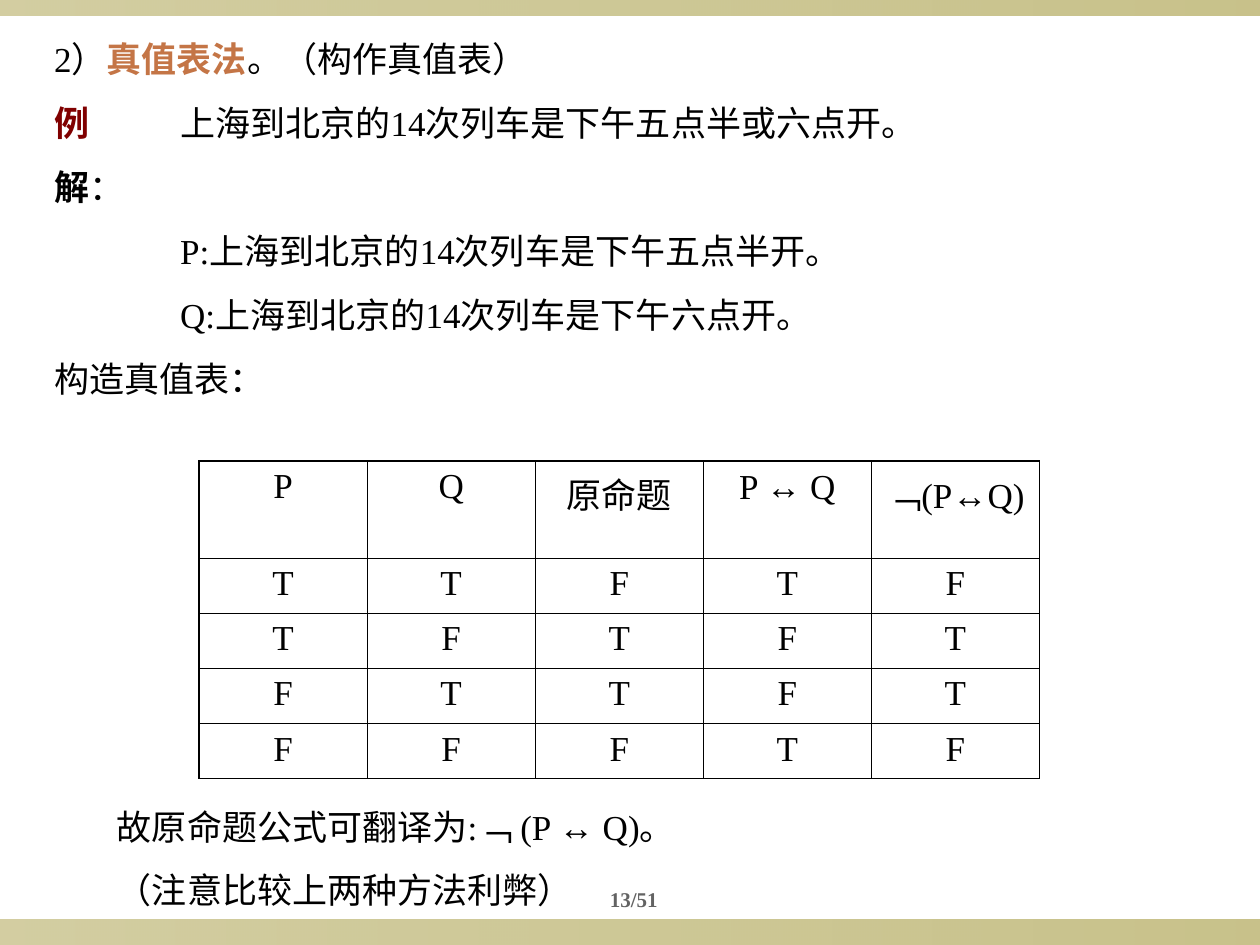
import dataclasses

import pptx
import pptx.dml.color
import pptx.enum.shapes
import pptx.enum.text
import pptx.oxml.ns
import pptx.util
from lxml import etree

Inches = pptx.util.Inches
Pt = pptx.util.Pt
Align = pptx.enum.text.PP_ALIGN
Fit = pptx.enum.text.MSO_AUTO_SIZE
qn = pptx.oxml.ns.qn


@dataclasses.dataclass(frozen=True)
class Theme:
    ink: str = "000000"
    key: str = "C47546"
    label: str = "800000"
    page: str = "636363"
    band: str = "918415"
    face: str = "Times New Roman"
    sign: str = "Arial"
    size: float = 20
    small: float = 12
    gap: float = 12.5
    thin: float = 0.45
    thick: float = 1.08


THEME = Theme()

# A line is a list of runs; a run is its text and what differs from plain.
KEY = {"color": THEME.key, "bold": True}
LABEL = {"color": THEME.label, "bold": True}
BOLD = {"bold": True}
ARROW = ("↔", {"name": THEME.sign})

PROOF = [
    [("2）", {}), ("真值表法", KEY), ("。（构作真值表）", {})],
    [("例\t", LABEL), ("上海到北京的14次列车是下午五点半或六点开。", {})],
    [("解", BOLD), ("：", {})],
    [("\tP:上海到北京的14次列车是下午五点半开。", {})],
    [("\tQ:上海到北京的14次列车是下午六点开。", {})],
    [("构造真值表：", {})],
]
RESULT = [
    [("故原命题公式可翻译为:﹁ (P ", {}), ARROW, (" Q)。", {})],
    [("（注意比较上两种方法利弊）", {})],
]
HEAD = [
    [("P", {})],
    [("Q", {})],
    [("原命题", {})],
    [("P ", {}), ARROW, (" Q", {})],
    [("﹁(P", {}), ARROW, ("Q)", {})],
]
TRUTH = ["TTFTF", "TFTFT", "FTTFT", "FFFTF"]


def rgb(code):
    return pptx.dml.color.RGBColor.from_string(code)


def put_runs(para, runs):
    for text, extra in runs:
        run = para.add_run()
        run.text = text
        look = {"name": THEME.face, "size": Pt(THEME.size), "bold": False,
                "color": THEME.ink, **extra}
        run.font.color.rgb = rgb(look.pop("color"))
        for key, value in look.items():
            setattr(run.font, key, value)


def set_plain(para):
    """Drop the bullet and indent, and put a tab stop at every inch."""
    props = para._p.get_or_add_pPr()
    for key, value in {"marL": 0, "indent": 0, "defTabSz": Inches(1)}.items():
        props.set(key, str(int(value)))
    etree.SubElement(props, qn("a:buNone"))
    tabs = etree.SubElement(props, qn("a:tabLst"))
    for inch in range(8):
        etree.SubElement(tabs, qn("a:tab"), pos=str(int(Inches(inch))),
                         algn="l")


def put_lines(shape, lines):
    frame = shape.text_frame
    frame.word_wrap = True
    frame.auto_size = Fit.SHAPE_TO_FIT_TEXT
    for i, runs in enumerate(lines):
        para = frame.add_paragraph() if i else frame.paragraphs[0]
        set_plain(para)
        para.space_before = Pt(THEME.gap if i else 0)
        put_runs(para, runs)


def add_band(slide, box):
    band = slide.shapes.add_shape(
        pptx.enum.shapes.MSO_SHAPE.RECTANGLE, *map(Inches, box))
    band.shadow.inherit = False
    band.line.fill.background()
    band.fill.gradient()
    band.fill.gradient_angle = 0
    for stop, place, alpha in zip(band.fill.gradient_stops, (0, 1), (40, 50)):
        stop.position = place
        stop.color.rgb = rgb(THEME.band)
        color = stop._gs.find(qn("a:srgbClr"))
        etree.SubElement(color, qn("a:alpha"), val=str(alpha * 1000))


def add_page(slide, box):
    shape = slide.shapes.add_textbox(*map(Inches, box))
    frame = shape.text_frame
    look = {"word_wrap": True,
            "vertical_anchor": pptx.enum.text.MSO_ANCHOR.MIDDLE,
            "margin_left": Inches(0.05), "margin_right": Inches(0.05)}
    for key, value in look.items():
        setattr(frame, key, value)
    para = frame.paragraphs[0]
    para.alignment = Align.CENTER
    put_runs(para, [("13/51", {"size": Pt(THEME.small), "bold": True,
                               "color": THEME.page})])


def add_proof(slide, box):
    body = slide.placeholders[1]
    for key, value in zip(("left", "top", "width", "height"), box):
        setattr(body, key, Inches(value))
    put_lines(body, PROOF)


def add_result(slide, box):
    put_lines(slide.shapes.add_textbox(*map(Inches, box)), RESULT)


def set_edges(cell, outer):
    """Draw the four borders, thick on the sides named in outer."""
    props = cell._tc.get_or_add_tcPr()
    for side in "LRTB":
        width = Pt(THEME.thick if side in outer else THEME.thin)
        line = etree.SubElement(props, qn("a:ln" + side), w=str(width))
        fill = etree.SubElement(line, qn("a:solidFill"))
        etree.SubElement(fill, qn("a:srgbClr"), val=THEME.ink)


def add_truth(slide, box):
    rows = [HEAD] + [[[(mark, {})] for mark in row] for row in TRUTH]
    last_row, last_col = len(rows) - 1, len(HEAD) - 1
    table = slide.shapes.add_table(
        len(rows), len(HEAD), *map(Inches, box)).table
    table.first_row = table.horz_banding = False
    first = 0.77
    for r, row in enumerate(table.rows):
        row.height = Inches((box[3] - first) / last_row if r else first)
    for r, row in enumerate(rows):
        for c, runs in enumerate(row):
            cell = table.cell(r, c)
            sides = {"L": c == 0, "R": c == last_col,
                     "T": r == 0, "B": r == last_row}
            set_edges(cell, [side for side, on in sides.items() if on])
            cell.fill.background()
            para = cell.text_frame.paragraphs[0]
            para.alignment = Align.CENTER
            put_runs(para, runs)


def main():
    deck = pptx.Presentation()
    deck.slide_width, deck.slide_height = Inches(10), Inches(7.5)
    slide = deck.slides.add_slide(deck.slide_layouts[1])
    title = slide.shapes.title._element
    title.getparent().remove(title)
    add_band(slide, (0, 7.3, 10, 0.2))
    add_band(slide, (0, 0, 10, 0.12))
    add_page(slide, (4.53, 6.98, 1, 0.31))
    add_proof(slide, (0.33, 0.25, 8.75, 2.97))
    add_truth(slide, (1.58, 3.66, 6.67, 2.52))
    add_result(slide, (0.83, 6.34, 7.33, 0.94))
    deck.save("out.pptx")


if __name__ == "__main__":
    main()
